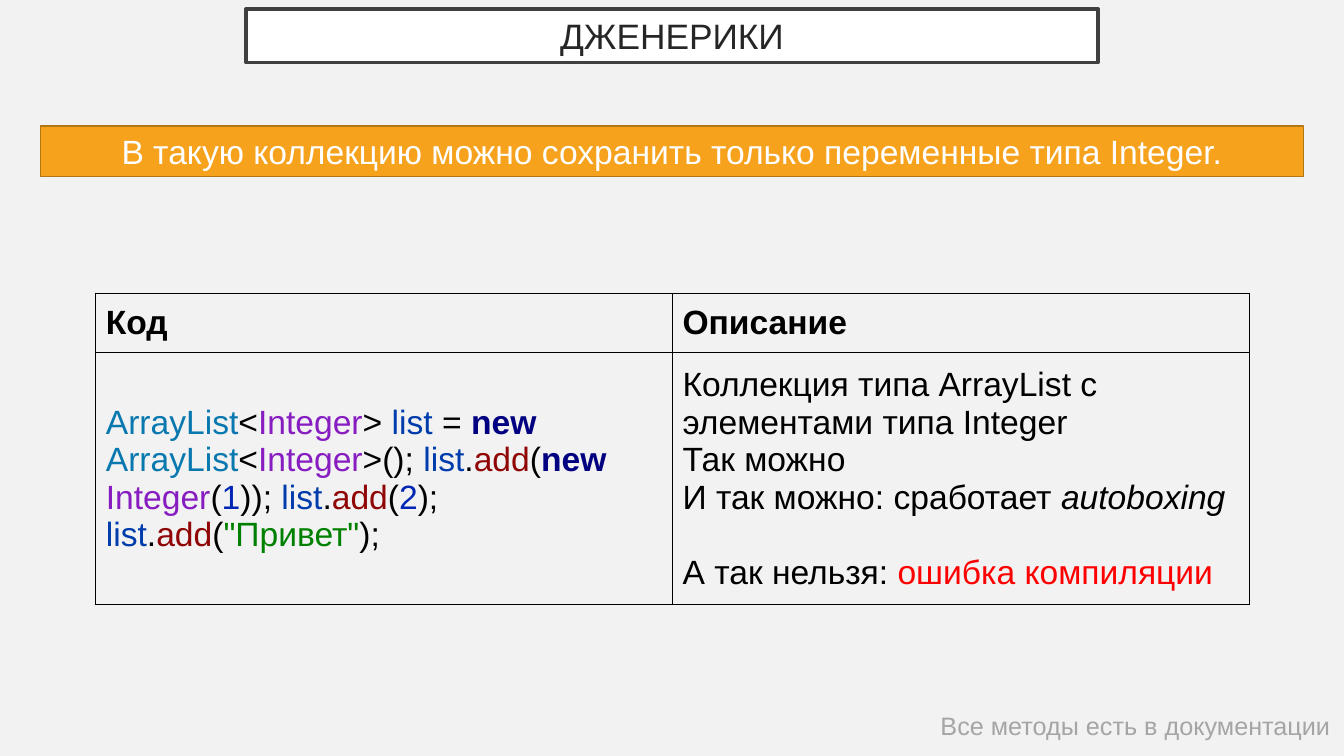
"""Builds a slide on a typed Java collection, with its code and explanation."""
from lxml import etree
from pptx import Presentation, util as u
from pptx.dml.color import RGBColor
from pptx.enum import shapes, text
from pptx.oxml import ns

BLACK, CYAN, PURPLE, BLUE = "000000", "0878AF", "871DC1", "003CAB"
NAVY, MAROON, NUMBER, GREEN, RED = "000080", "900606", "0026B3", "008000", "FF0000"


def rgb(value):
    return RGBColor.from_string(value)


def add_run(paragraph, words, color=BLACK, size=24, bold=False, italic=False):
    run = paragraph.add_run()
    run.text = words
    run.font.name = "Arial"
    run.font.size = u.Pt(size)
    run.font.bold = bold
    run.font.italic = italic
    run.font.color.rgb = rgb(color)


deck = Presentation()
deck.slide_width, deck.slide_height = u.Inches(13.33), u.Inches(7.5)
slide = deck.slides.add_slide(deck.slide_layouts[6])
slide.background.fill.solid()
slide.background.fill.fore_color.rgb = rgb("F2F2F2")

banners = [
    ((2.44, 0.09, 8.45, 0.53), "FFFFFF", "404040", 2.5, "ДЖЕНЕРИКИ", "262626", 25.2),
    ((0.4, 1.25, 12.53, 0.5), "F6A21D", "B37615", 1,
     "В такую коллекцию можно сохранить только переменные типа Integer.", "FFFFFF", 24),
]
for place, fill, outline, width, words, color, size in banners:
    banner = slide.shapes.add_shape(shapes.MSO_SHAPE.RECTANGLE, *map(u.Inches, place))
    banner.shadow.inherit = False
    banner.fill.solid()
    banner.fill.fore_color.rgb = rgb(fill)
    banner.line.color.rgb = rgb(outline)
    banner.line.width = u.Pt(width)
    banner.text_frame.word_wrap = True
    banner.text_frame.vertical_anchor = text.MSO_ANCHOR.MIDDLE
    line = banner.text_frame.paragraphs[0]
    line.alignment = text.PP_ALIGN.CENTER
    add_run(line, words, color, size)

footnote = slide.shapes.add_textbox(*map(u.Inches, (9.23, 7, 4.1, 0.4))).text_frame
footnote.word_wrap = True
add_run(footnote.paragraphs[0], "Все методы есть в документации", "A5A5A5", 18)

table = slide.shapes.add_table(2, 2, *map(u.Inches, (0.95, 2.91, 11.44, 3.09))).table
table.first_row = table.horz_banding = False
table.rows[0].height, table.rows[1].height = u.Inches(0.59), u.Inches(2.5)
for cell in table.iter_cells():
    cell.vertical_anchor = text.MSO_ANCHOR.MIDDLE
    borders = cell._tc.get_or_add_tcPr()
    for side in ("lnL", "lnR", "lnT", "lnB"):
        border = etree.SubElement(borders, ns.qn(f"a:{side}"), w=str(u.Pt(1)))
        solid = etree.SubElement(border, ns.qn("a:solidFill"))
        etree.SubElement(solid, ns.qn("a:srgbClr"), val=BLACK)
    cell.fill.background()

for column, heading in enumerate(("Код", "Описание")):
    add_run(table.cell(0, column).text_frame.paragraphs[0], heading, bold=True)

code = [
    ("ArrayList", CYAN), ("<", BLACK), ("Integer", PURPLE), ("> ", BLACK),
    ("list ", BLUE), ("= ", BLACK), ("new ", NAVY),
    ("ArrayList", CYAN), ("<", BLACK), ("Integer", PURPLE), (">(); ", BLACK),
    ("list", BLUE), (".", BLACK), ("add", MAROON), ("(", BLACK), ("new ", NAVY),
    ("Integer", PURPLE), ("(", BLACK), ("1", NUMBER), (")); ", BLACK),
    ("list", BLUE), (".", BLACK), ("add", MAROON), ("(", BLACK),
    ("2", NUMBER), ("); ", BLACK),
    ("list", BLUE), (".", BLACK), ("add", MAROON), ("(", BLACK),
    ('"Привет"', GREEN), (");", BLACK),
]
code_line = table.cell(1, 0).text_frame.paragraphs[0]
for token, color in code:
    add_run(code_line, token, color, bold=color == NAVY)

description = table.cell(1, 1).text_frame
allowed = description.paragraphs[0]
add_run(allowed, "Коллекция типа ArrayList с элементами типа Integer")
for words in ("Так можно", "И так можно: сработает "):
    allowed.add_line_break()
    add_run(allowed, words)
add_run(allowed, "autoboxing", italic=True)
forbidden = description.add_paragraph()
forbidden.space_before = u.Pt(27)
add_run(forbidden, "А так нельзя: ")
add_run(forbidden, "ошибка компиляции", RED)

deck.save("out.pptx")
